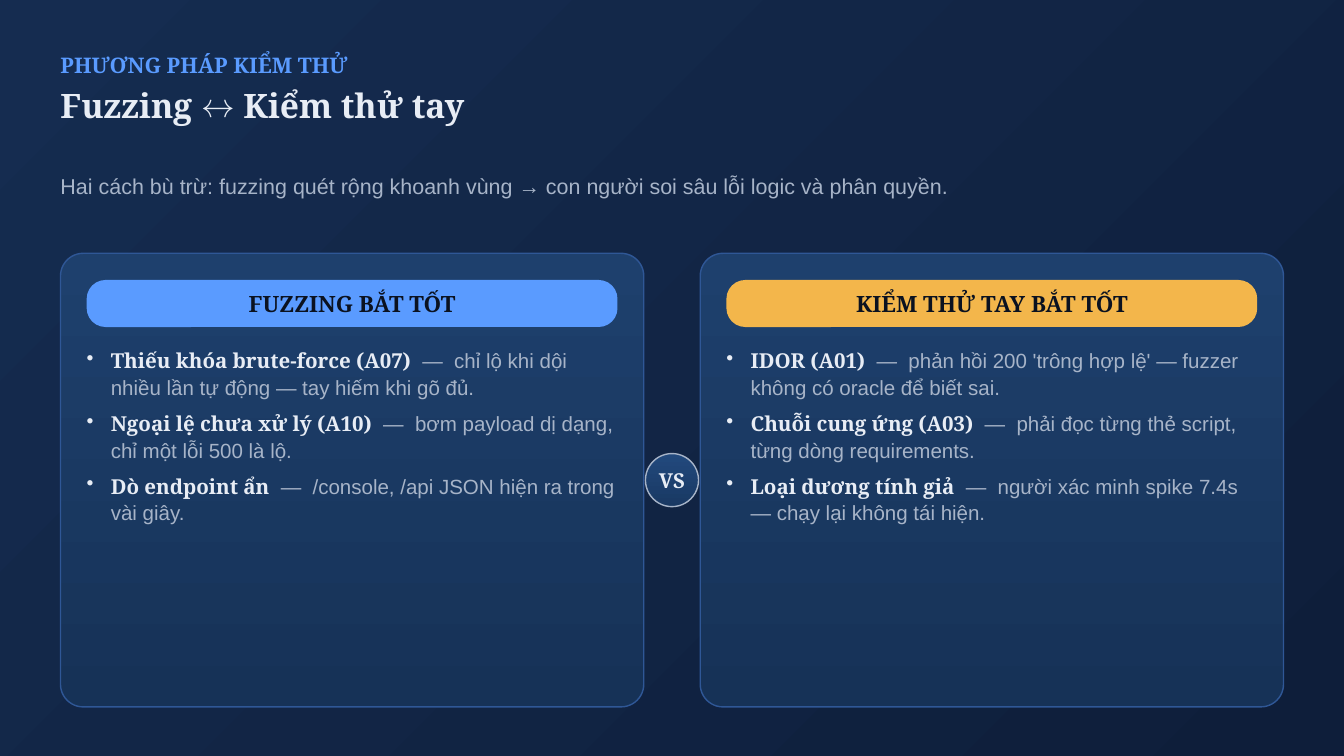
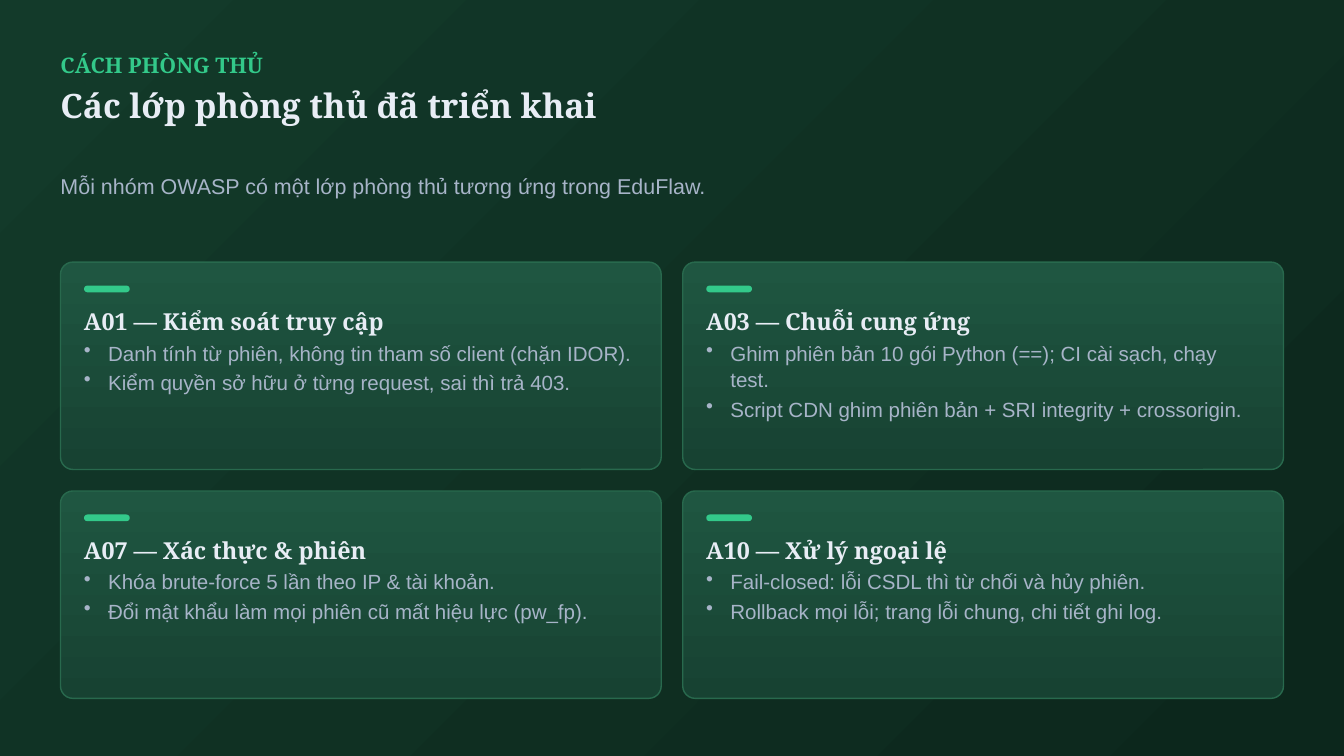
from dataclasses import dataclass
from pptx import Presentation
from pptx.dml.color import RGBColor as RGB
from pptx.enum.shapes import MSO_SHAPE as Kind
from pptx.enum.text import MSO_ANCHOR as Anchor, PP_ALIGN as Align
from pptx.oxml.ns import qn
from pptx.util import Pt
from lxml.etree import SubElement as Sub

# Content
DUEL = {
    "kicker": "PHƯƠNG PHÁP KIỂM THỬ",
    "title": "Fuzzing ↔ Kiểm thử tay",
    "lead": "Hai cách bù trừ: fuzzing quét rộng khoanh vùng → con người "
            "soi sâu lỗi logic và phân quyền.",
    "badge": "VS",
    "sides": [
        ("FUZZING BẮT TỐT", [
            ("Thiếu khóa brute-force (A07)",
             "chỉ lộ khi dội nhiều lần tự động — tay hiếm khi gõ đủ."),
            ("Ngoại lệ chưa xử lý (A10)",
             "bơm payload dị dạng, chỉ một lỗi 500 là lộ."),
            ("Dò endpoint ẩn",
             "/console, /api JSON hiện ra trong vài giây."),
        ]),
        ("KIỂM THỬ TAY BẮT TỐT", [
            ("IDOR (A01)",
             "phản hồi 200 'trông hợp lệ' — fuzzer không có oracle để biết sai."),
            ("Chuỗi cung ứng (A03)",
             "phải đọc từng thẻ script, từng dòng requirements."),
            ("Loại dương tính giả",
             "người xác minh spike 7.4s — chạy lại không tái hiện."),
        ]),
    ],
}
GUARD = {
    "kicker": "CÁCH PHÒNG THỦ",
    "title": "Các lớp phòng thủ đã triển khai",
    "lead": "Mỗi nhóm OWASP có một lớp phòng thủ tương ứng trong EduFlaw.",
    "cards": [
        ("A01 — Kiểm soát truy cập", [
            "Danh tính từ phiên, không tin tham số client (chặn IDOR).",
            "Kiểm quyền sở hữu ở từng request, sai thì trả 403."]),
        ("A03 — Chuỗi cung ứng", [
            "Ghim phiên bản 10 gói Python (==); CI cài sạch, chạy test.",
            "Script CDN ghim phiên bản + SRI integrity + crossorigin."]),
        ("A07 — Xác thực & phiên", [
            "Khóa brute-force 5 lần theo IP & tài khoản.",
            "Đổi mật khẩu làm mọi phiên cũ mất hiệu lực (pw_fp)."]),
        ("A10 — Xử lý ngoại lệ", [
            "Fail-closed: lỗi CSDL thì từ chối và hủy phiên.",
            "Rollback mọi lỗi; trang lỗi chung, chi tiết ghi log."]),
    ],
}


@dataclass(frozen=True)
class Theme:
    serif: str = "Noto Serif"
    sans: str = "Arial"
    white: str = "E8EDF5"
    muted: str = "A7B4C8"
    ink: str = "0B1220"
    blue: str = "5A9BFF"
    amber: str = "F3B64B"
    green: str = "33C98A"
    navy: tuple = ("152C50", "0E1E3A")
    forest: tuple = ("133A2A", "0C271C")
    panel: tuple = ("1E406D", "163257")
    disc: tuple = ("22497D", "193963")
    tile: tuple = ("1F5641", "174232")
    edge: str = "2F5796"
    rim: str = "28694D"
    small: float = 22
    lead: float = 23
    label: float = 24
    head: float = 25
    title: float = 36


T = Theme()
WIDE, HIGH, LEFT = 1440, 810, 64.8
SPAN = WIDE - 2 * LEFT
STEP = 28.6  # line pitch of bullets


# Text helpers
def bold(text, size=T.small, color=T.white):
    return text, size, T.serif, color, True


def plain(text, size=T.small):
    return text, size, T.sans, T.muted, False


def write(frame, paras, anchor=Anchor.TOP, align=None):
    """Each paragraph is (runs, line pitch, space before, bullet?)."""
    frame.word_wrap = True
    frame.vertical_anchor = anchor
    frame.margin_left = frame.margin_right = 0
    frame.margin_top = frame.margin_bottom = 0
    for i, (runs, pitch, gap, dot) in enumerate(paras):
        para = frame.add_paragraph() if i else frame.paragraphs[0]
        if dot:
            props = para._p.get_or_add_pPr()
            props.set("marL", str(Pt(25.92)))
            props.set("indent", str(-Pt(25.92)))
            Sub(props, qn("a:buChar")).set("char", "•")
        if align is not None:
            para.alignment = align
        if pitch:
            para.line_spacing = Pt(pitch)
        if gap:
            para.space_before = Pt(gap)
        for text, size, face, color, heavy in runs:
            run = para.add_run()
            run.text = text
            run.font.size, run.font.name, run.font.bold = Pt(size), face, heavy
            run.font.color.rgb = RGB.from_string(color)


def label(shape, run):
    write(shape.text_frame, [([run], None, 0, False)], Anchor.MIDDLE, Align.CENTER)


def note(slide, box, paras, anchor=Anchor.TOP):
    write(slide.shapes.add_textbox(*map(Pt, box)).text_frame, paras, anchor)


# Shape helpers
def paint(fill, color, angle=90):
    """A pair of colours gives a gradient at a clockwise angle."""
    if isinstance(color, str):
        fill.solid()
        fill.fore_color.rgb = RGB.from_string(color)
        return
    fill.gradient()
    fill.gradient_angle = 360 - angle
    for stop, tone, place in zip(fill.gradient_stops, color, (0, 1)):
        stop.color.rgb = RGB.from_string(tone)
        stop.position = place


def draw(slide, kind, box, color, edge=None, curve=None):
    shape = slide.shapes.add_shape(kind, *map(Pt, box))
    shape.shadow.inherit = False
    if curve is not None:
        shape.adjustments[0] = curve
    paint(shape.fill, color)
    if edge:
        shape.line.color.rgb = RGB.from_string(edge)
        shape.line.width = Pt(1.5)
    else:
        shape.line.fill.background()
    return shape


def start(deck, data, back, accent):
    """Add a slide with its background, kicker, title and lead line."""
    slide = deck.slides.add_slide(deck.slide_layouts[6])
    paint(slide.background.fill, back, 45)
    note(slide, (LEFT, 47.5, SPAN, 43.9),
         [([bold(data["kicker"], T.lead, accent)], None, 0, False)], Anchor.MIDDLE)
    note(slide, (LEFT, 92.9, SPAN, 82),
         [([bold(data["title"], T.title)], 41.4, 0, False)])
    note(slide, (LEFT, 182.9, SPAN, 70.6),
         [([plain(data["lead"], T.lead)], 29.9, 0, False)])
    return slide


# Two panels with a badge between them
def duel(deck):
    slide = start(deck, DUEL, T.navy, T.blue)
    top, gap, tall, pad, disc = 271.4, 60.5, 486, 28.1, 56.9
    wide = (SPAN - gap) / 2
    inner = wide - 2 * pad
    for i, ((name, items), tone) in enumerate(zip(DUEL["sides"], (T.blue, T.amber))):
        x = LEFT + i * (wide + gap)
        draw(slide, Kind.ROUNDED_RECTANGLE, (x, top, wide, tall), T.panel, T.edge, 0.05)
        pill = draw(slide, Kind.ROUNDED_RECTANGLE,
                    (x + pad, top + 28.6, inner, 50.4), tone, curve=0.4)
        label(pill, bold(name, T.label, T.ink))
        note(slide, (x + pad, top + 99.4, inner, 358.6),
             [([bold(term), plain(f"  —  {text}")], STEP, 10 if n else 0, True)
              for n, (term, text) in enumerate(items)])
    badge = draw(slide, Kind.OVAL, ((WIDE - disc) / 2, top + (tall - disc) / 2, disc, disc),
                 T.disc, T.muted)
    label(badge, bold(DUEL["badge"]))


# Grid of cards, two across
def guard(deck):
    slide = start(deck, GUARD, T.forest, T.green)
    top, gap, tall, pad = 280.8, 23.04, 222.2, 25.2
    wide = (SPAN - gap) / 2
    for i, (name, items) in enumerate(GUARD["cards"]):
        row, col = divmod(i, 2)
        x, y = LEFT + col * (wide + gap), top + row * (tall + gap)
        draw(slide, Kind.ROUNDED_RECTANGLE, (x, y, wide, tall), T.tile, T.rim, 0.06)
        draw(slide, Kind.ROUNDED_RECTANGLE, (x + pad, y + pad, 49, 7.2), T.green, curve=0.5)
        paras = [([bold(name, T.head)], 29, 0, False)]
        paras += [([plain(text)], STEP, 2.8 if n else 3.8, True)
                  for n, text in enumerate(items)]
        note(slide, (x + pad, y + 49, wide - 2 * pad, 148.3), paras)


def main():
    deck = Presentation()
    deck.slide_width, deck.slide_height = Pt(WIDE), Pt(HIGH)
    duel(deck)
    guard(deck)
    deck.save("out.pptx")


if __name__ == "__main__":
    main()
